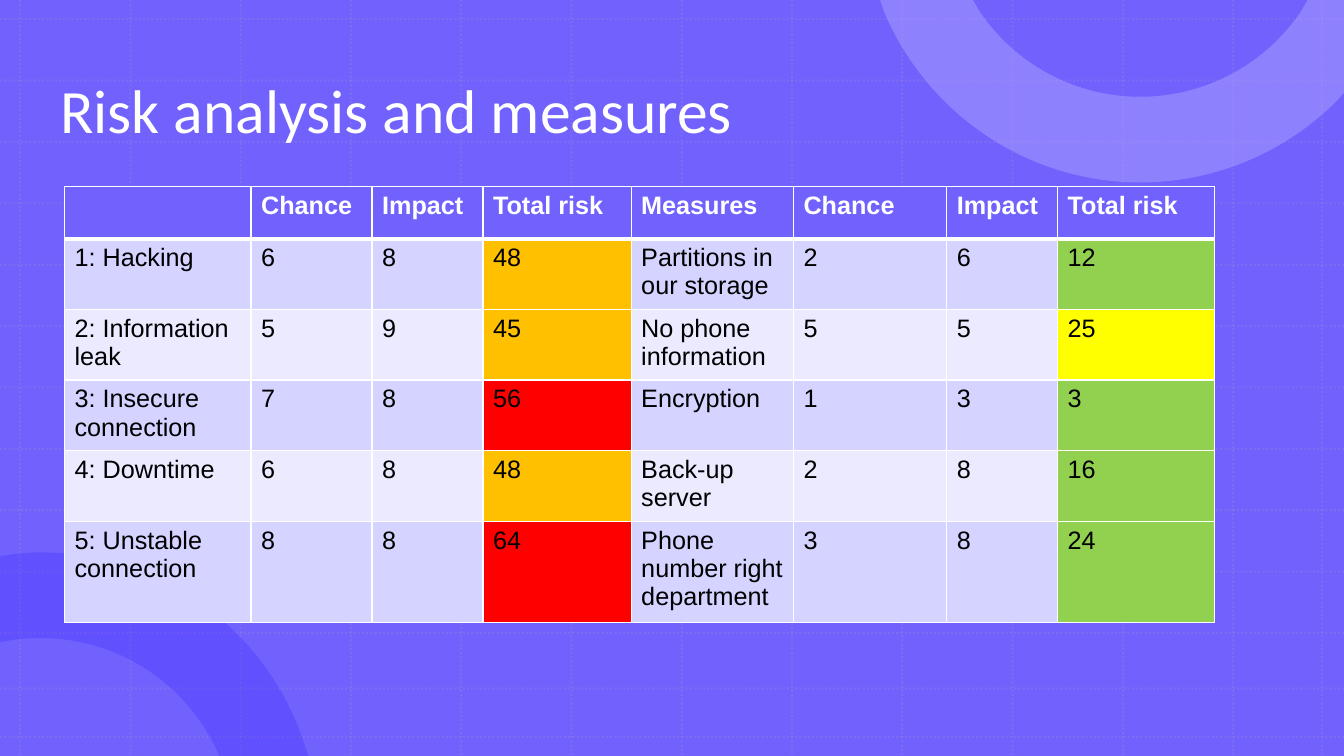
from lxml import etree
from pptx import Presentation
from pptx.dml.color import RGBColor
from pptx.enum import dml, shapes, text
from pptx.oxml.ns import qn
from pptx.util import Inches, Pt

TITLE = "Risk analysis and measures"
HEADER = ["", "Chance", "Impact", "Total risk", "Measures", "Chance", "Impact", "Total risk"]
RISKS = [
    ("1: Hacking", 6, 8, 48, "Partitions in our storage", 2, 6, 12),
    ("2: Information leak", 5, 9, 45, "No phone information", 5, 5, 25),
    ("3: Insecure connection", 7, 8, 56, "Encryption", 1, 3, 3),
    ("4: Downtime", 6, 8, 48, "Back-up server", 2, 8, 16),
    ("5: Unstable connection", 8, 8, 64, "Phone number right department", 3, 8, 24),
]
COL_WIDTHS = [1.85, 1.2, 1.1, 1.47, 1.61, 1.52, 1.1, 1.56]
ROW_HEIGHTS = [0.52] + [0.67] * 4 + [0.94]
TOTAL_COLS = (3, 7)

WIDTH, HEIGHT = 13.33, 7.5
GRID_X = [0.2 + 12.03 * i / 11 for i in range(12)] + [13.11]
GRID_Y = [0.19 + 6.09 * i / 10 for i in range(11)] + [6.83, 7.31]

LOWER_RING = [
    [(0.4, 5.48)],
    [(1.64, 5.48), (2.69, 6.3), (3.03, 7.42)],
    [(3.06, 7.5)], [(2.17, 7.5)], [(2.17, 7.49)],
    [(1.88, 6.81), (1.2, 6.33), (0.4, 6.33)],
    [(0.27, 6.33), (0.14, 6.34), (0.02, 6.37)],
    [(-0.01, 6.37)], [(-0.01, 5.52)], [(0.12, 5.5)],
    [(0.21, 5.49), (0.31, 5.48), (0.4, 5.48)],
]
UPPER_RING = [
    [(8.73, 0)], [(9.65, 0)], [(9.72, 0.12)],
    [(10.07, 0.63), (10.65, 0.96), (11.31, 0.96)],
    [(11.97, 0.96), (12.55, 0.63), (12.9, 0.12)],
    [(12.97, 0)], [(13.33, 0)], [(13.33, 0.92)], [(13.26, 1)],
    [(12.76, 1.5), (12.07, 1.81), (11.31, 1.81)],
    [(10.17, 1.81), (9.19, 1.11), (8.77, 0.12)],
]

WHITE = RGBColor(0xFF, 0xFF, 0xFF)
BLACK = RGBColor(0, 0, 0)
VIOLET = RGBColor(0x71, 0x62, 0xFE)
GRID = RGBColor(0xB4, 0x95, 0xC2)
RING_DARK = RGBColor(0x22, 0x0B, 0xFD)
RING_LIGHT = RGBColor(0xAA, 0xA1, 0xFE)
BANDS = [RGBColor(0xD5, 0xD3, 0xFF), RGBColor(0xEB, 0xEA, 0xFF)]
GREEN = RGBColor(0x92, 0xD0, 0x50)
YELLOW = RGBColor(0xFF, 0xFF, 0)
AMBER = RGBColor(0xFF, 0xC0, 0)
RED = RGBColor(0xFF, 0, 0)
RISK_LEVELS = [(25, GREEN), (45, YELLOW), (50, AMBER), (101, RED)]


def set_opacity(sp, percent):
    color = sp._element.spPr.find(".//" + qn("a:srgbClr"))
    etree.SubElement(color, qn("a:alpha"), val=str(percent * 1000))


def set_plain_fill(sp, color):
    sp.shadow.inherit = False
    sp.fill.solid()
    sp.fill.fore_color.rgb = color
    sp.line.fill.background()


def add_grid_line(s, x1, y1, x2, y2):
    line = s.shapes.add_connector(
        shapes.MSO_CONNECTOR.STRAIGHT, Inches(x1), Inches(y1), Inches(x2), Inches(y2))
    line.line.color.rgb = GRID
    line.line.width = Pt(1.5)
    line.line.dash_style = dml.MSO_LINE.ROUND_DOT
    set_opacity(line, 20)
    etree.SubElement(line._element.spPr, qn("a:effectLst"))


def add_ring(s, segments, color, opacity):
    ends = [(Inches(x), Inches(y)) for x, y in (seg[-1] for seg in segments)]
    builder = s.shapes.build_freeform(*ends[0])
    builder.add_line_segments(ends[1:], close=True)
    sp = builder.convert_to_shape()
    lines = sp._element.spPr.findall(".//" + qn("a:lnTo"))
    for line, seg in zip(lines, segments[1:]):
        if len(seg) == 3:
            line.addprevious(curve := etree.Element(qn("a:cubicBezTo")))
            for x, y in seg:
                etree.SubElement(curve, qn("a:pt"), x=str(Inches(x) - sp.left),
                                 y=str(Inches(y) - sp.top))
            line.getparent().remove(line)
    set_plain_fill(sp, color)
    set_opacity(sp, opacity)


def style_run(p, font, size, color, bold=False):
    for r in p.runs:
        r.font.name = font
        r.font.size = Pt(size)
        r.font.color.rgb = color
        r.font.bold = bold


def set_borders(cell, top, bottom):
    tcPr = cell._tc.get_or_add_tcPr()
    for side, width in (("L", 1), ("R", 1), ("T", top), ("B", bottom)):
        ln = etree.SubElement(tcPr, qn("a:ln" + side), w=str(Pt(width)))
        fill = etree.SubElement(ln, qn("a:solidFill"))
        etree.SubElement(fill, qn("a:srgbClr"), val=str(WHITE))


def cell_fill(row, col, value):
    if row == 0:
        return VIOLET
    if col in TOTAL_COLS:
        return next(color for limit, color in RISK_LEVELS if value < limit)
    return BANDS[(row - 1) % 2]


def add_background(s):
    sp = s.shapes.add_shape(
        shapes.MSO_SHAPE.RECTANGLE, 0, 0, Inches(WIDTH), Inches(HEIGHT))
    set_plain_fill(sp, VIOLET)
    for x in GRID_X:
        add_grid_line(s, x, 0, x, HEIGHT)
    for y in GRID_Y:
        add_grid_line(s, 0, y, WIDTH, y)
    add_ring(s, LOWER_RING, RING_DARK, 20)
    add_ring(s, UPPER_RING, RING_LIGHT, 50)


def add_title(s):
    tf = s.shapes.add_textbox(
        Inches(0.5), Inches(0.4), Inches(11.73), Inches(1.45)).text_frame
    tf.word_wrap = True
    tf.vertical_anchor = text.MSO_ANCHOR.MIDDLE
    tf.text = TITLE
    p = tf.paragraphs[0]
    p.line_spacing = 0.9
    style_run(p, "Calibri", 44, WHITE)


def add_risk_table(s):
    rows = [HEADER] + RISKS
    table = s.shapes.add_table(
        len(rows), len(HEADER), Inches(0.64), Inches(1.85),
        Inches(sum(COL_WIDTHS)), Inches(sum(ROW_HEIGHTS))).table
    table.first_row = table.horz_banding = False
    for column, width in zip(table.columns, COL_WIDTHS):
        column.width = Inches(width)
    for i, values in enumerate(rows):
        table.rows[i].height = Inches(ROW_HEIGHTS[i])
        for j, value in enumerate(values):
            cell = table.cell(i, j)
            set_borders(cell, 3 if i == 1 else 1, 3 if i == 0 else 1)
            cell.fill.solid()
            cell.fill.fore_color.rgb = cell_fill(i, j, value)
            cell.text_frame.text = str(value)
            style_run(cell.text_frame.paragraphs[0], "Arial", 18,
                      BLACK if i else WHITE, bold=i == 0)


def main():
    prs = Presentation()
    prs.slide_width, prs.slide_height = Inches(WIDTH), Inches(HEIGHT)
    s = prs.slides.add_slide(prs.slide_layouts[6])
    add_background(s)
    add_title(s)
    add_risk_table(s)
    prs.save("out.pptx")


if __name__ == "__main__":
    main()
